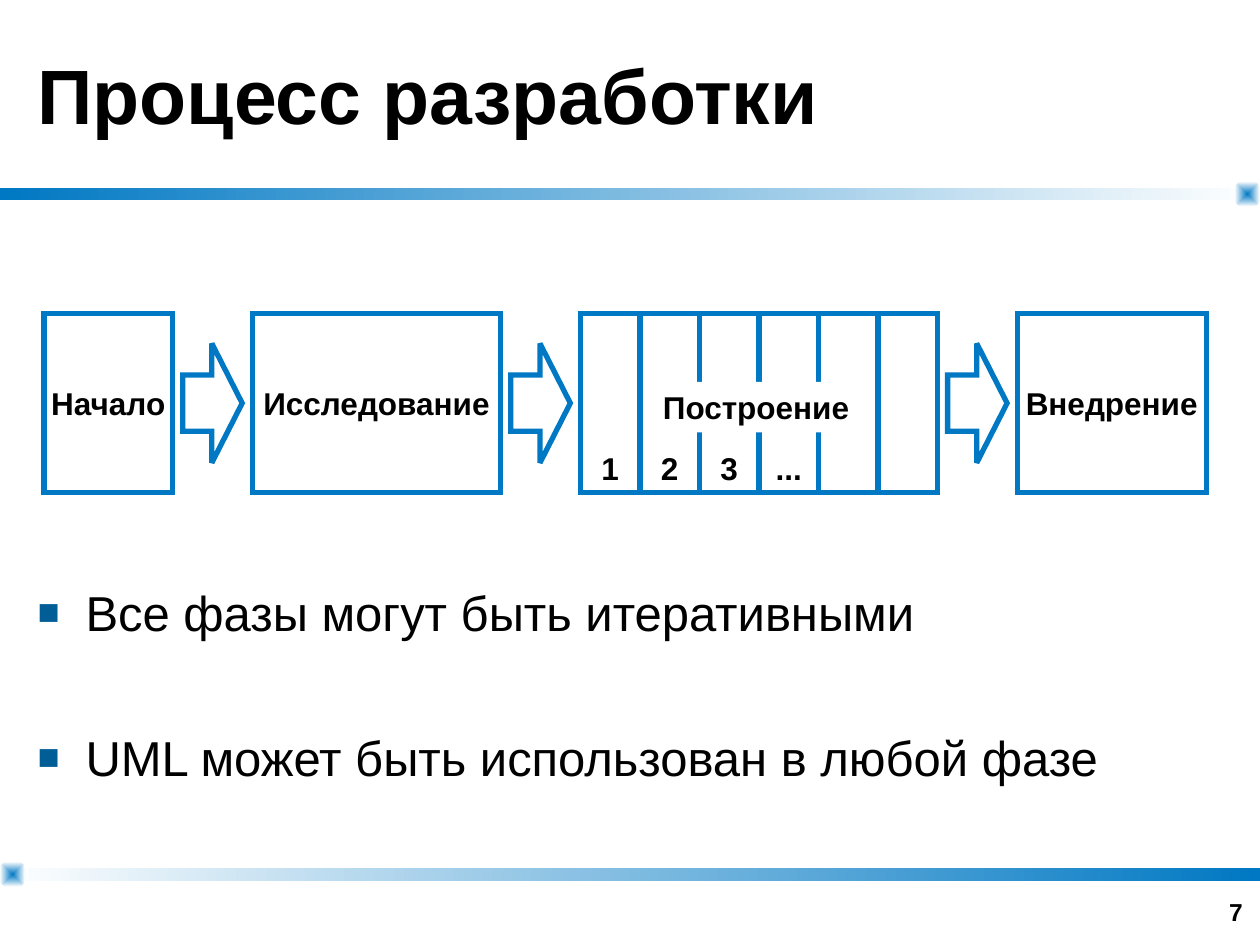
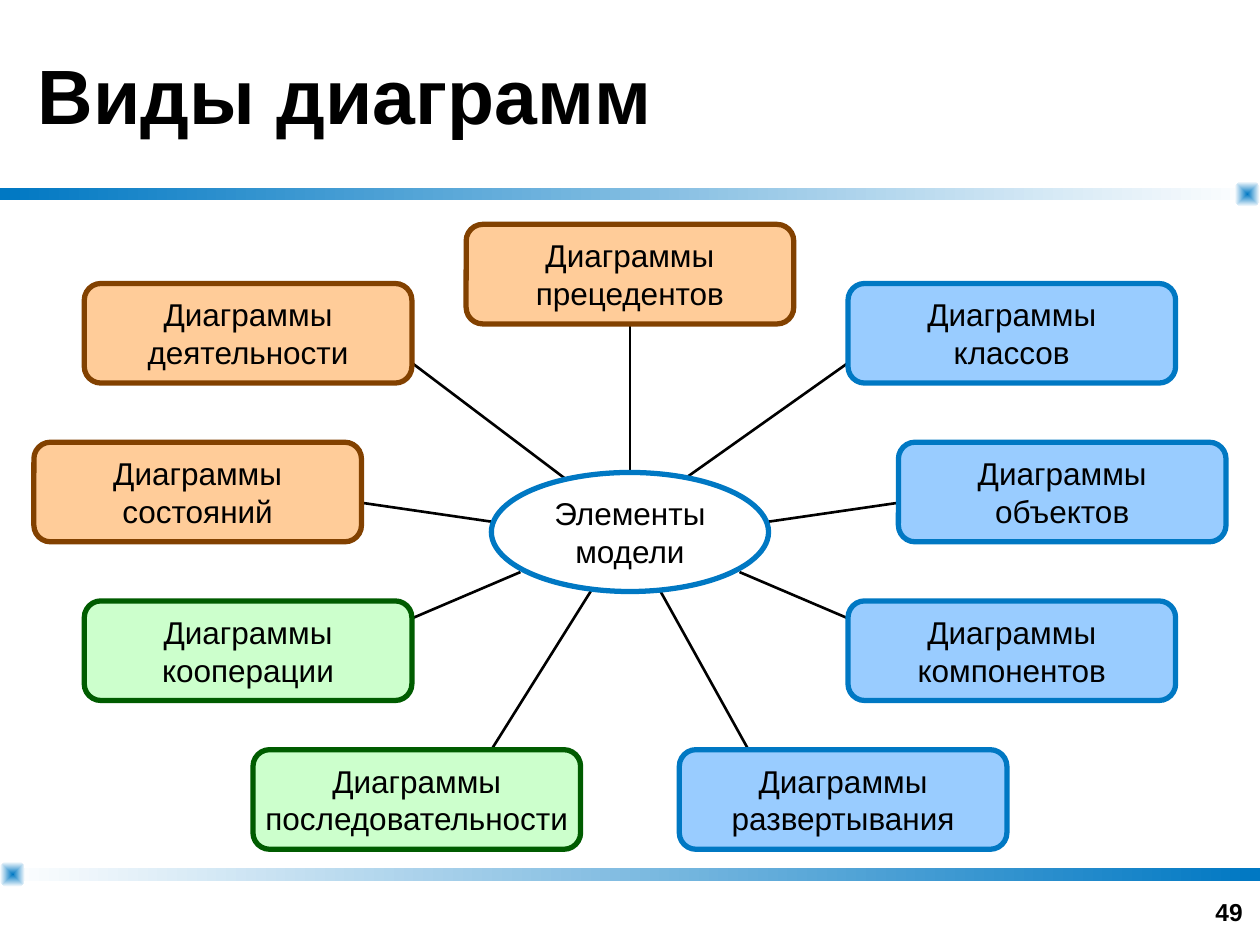
from dataclasses import dataclass
from typing import Any, Optional

import lxml.etree
import pptx
import pptx.dml.color
import pptx.enum.shapes
import pptx.enum.text
import pptx.oxml.ns
import pptx.util

Pt = pptx.util.Pt
Shapes = pptx.enum.shapes.MSO_SHAPE
Anchor = pptx.enum.text.MSO_ANCHOR
Align = pptx.enum.text.PP_ALIGN
qn = pptx.oxml.ns.qn


@dataclass(frozen=True)
class Theme:
    font: str = "Arial"
    ink: str = "000000"
    paper: str = "FFFFFF"
    accent: str = "0078C3"
    bullet: str = "005D96"
    title_size: float = 44
    body_size: float = 28
    label_size: float = 18
    number_size: float = 14
    outline: float = 3
    spoke: float = 1.5


THEME = Theme()
SLIDE_WIDTH, SLIDE_HEIGHT = 720, 540


@dataclass(frozen=True)
class Area:
    left: float
    top: float
    width: float
    height: float

    def lengths(self) -> list:
        return [Pt(value) for value in (self.left, self.top, self.width, self.height)]


@dataclass(frozen=True)
class TextStyle:
    size: float = THEME.label_size
    bold: bool = False
    align: Any = Align.CENTER
    anchor: Any = Anchor.MIDDLE
    wrap: bool = False


@dataclass(frozen=True)
class Family:
    fill: str
    line: str


@dataclass(frozen=True)
class DiagramKind:
    name: str
    family: Family
    offset: float
    top: float
    spoke_start: tuple[float, float]
    spoke_end: tuple[float, float]


@dataclass(frozen=True)
class Phase:
    name: str
    width: float


TITLE = TextStyle(THEME.title_size, True, Align.LEFT, wrap=True)
NUMBER = TextStyle(THEME.number_size, True, Align.RIGHT, Anchor.BOTTOM, True)
BODY = TextStyle(THEME.body_size, False, Align.LEFT, Anchor.TOP, True)
PHASE_LABEL = TextStyle(bold=True)
ITERATION_LABEL = TextStyle(bold=True, anchor=Anchor.BOTTOM)
KIND_LABEL = TextStyle()

BEHAVIOUR = Family("FFCC99", "824100")
STRUCTURE = Family("99CCFF", THEME.accent)
INTERACTION = Family("CCFFCC", "005C00")

BUILDING = "Построение"
PHASES = [
    Phase("Начало", 73.4),
    Phase("Исследование", 141.9),
    Phase(BUILDING, 204),
    Phase("Внедрение", 108),
]
ITERATIONS = ["1", "2", "3", "...", "", ""]
BULLETS = ["Все фазы могут быть итеративными", "UML может быть использован в любой фазе"]

KINDS = [
    DiagramKind("прецедентов", BEHAVIOUR, 0, 128.2, (360, 270), (360, 185)),
    DiagramKind("деятельности", BEHAVIOUR, -218.2, 162, (326, 275.8), (235.4, 207.4)),
    DiagramKind("состояний", BEHAVIOUR, -247, 252.7, (280.8, 298.1), (206.6, 287.3)),
    DiagramKind("кооперации", INTERACTION, -218.2, 343.4, (297.4, 326.9), (218.2, 360.7)),
    DiagramKind("последовательности", INTERACTION, -121.8, 428.4, (337.7, 337.7), (280.8, 428.4)),
    DiagramKind("развертывания", STRUCTURE, 121.8, 428.4, (377.3, 337.7), (427.7, 428.4)),
    DiagramKind("компонентов", STRUCTURE, 218.2, 343.4, (422.6, 326.9), (501.8, 360.7)),
    DiagramKind("объектов", STRUCTURE, 247, 252.7, (439.2, 298.1), (513.4, 287.3)),
    DiagramKind("классов", STRUCTURE, 218.2, 162, (388.1, 275.8), (484.6, 207.4)),
]


def color(value: str) -> pptx.dml.color.RGBColor:
    return pptx.dml.color.RGBColor.from_string(value)


def apply_format(target: Any, values: dict[str, Any]) -> None:
    for name, value in values.items():
        setattr(target, name, value)


def add_node(parent: Any, tag: str, **attributes: str) -> Any:
    return lxml.etree.SubElement(parent, qn(tag), attributes)


def write_text(box: Any, lines: list[str], style: TextStyle) -> None:
    frame = box.text_frame
    apply_format(frame, {"word_wrap": style.wrap, "vertical_anchor": style.anchor})
    for index, line in enumerate(lines):
        para = frame.paragraphs[0] if index == 0 else frame.add_paragraph()
        para.alignment = style.align
        span = para.add_run()
        span.text = line
        apply_format(span.font, {"name": THEME.font, "size": Pt(style.size), "bold": style.bold})
        span.font.color.rgb = color(THEME.ink)


def add_text(page: Any, area: Area, lines: list[str], style: TextStyle) -> Any:
    box = page.shapes.add_textbox(*area.lengths())
    write_text(box, lines, style)
    return box


def add_box(
    page: Any,
    kind: Any,
    area: Area,
    text: str = "",
    style: TextStyle = KIND_LABEL,
    fill: Optional[str] = None,
    line: Optional[str] = THEME.accent,
) -> Any:
    box = page.shapes.add_shape(kind, *area.lengths())
    box.shadow.inherit = False
    if fill:
        box.fill.solid()
        box.fill.fore_color.rgb = color(fill)
    else:
        box.fill.background()
    if line:
        box.line.color.rgb = color(line)
        box.line.width = Pt(THEME.outline)
        add_node(box.line._get_or_add_ln(), "a:miter", lim="800000")
    else:
        box.line.fill.background()
    if text:
        write_text(box, text.split("\n"), style)
    return box


def paint_gradient(box: Any, start: str, end: str, centred: bool = False) -> None:
    box.fill.gradient()
    box.fill.gradient_angle = 0
    for stop, value in zip(box.fill.gradient_stops, (start, end)):
        stop.color.rgb = color(value)
    if centred:
        gradient = box.element.spPr.find(qn("a:gradFill"))
        gradient.remove(gradient.find(qn("a:lin")))
        route = add_node(gradient, "a:path", path="rect")
        add_node(route, "a:fillToRect", l="50000", t="50000", r="50000", b="50000")


def add_band(page: Any, top: float, start: str, end: str, corner_left: float) -> None:
    band = add_box(page, Shapes.RECTANGLE, Area(0, top, SLIDE_WIDTH, 7.2), line=None)
    paint_gradient(band, start, end)
    corner = add_box(page, Shapes.ROUNDED_RECTANGLE, Area(corner_left, top - 3.6, 14.4, 14.4), line=None)
    corner.adjustments[0] = 0.32
    paint_gradient(corner, THEME.accent, THEME.paper, centred=True)


def add_page(deck: Any, title: str, number: int) -> Any:
    page = deck.slides.add_slide(deck.slide_layouts[6])
    add_band(page, 107.3, THEME.accent, THEME.paper, SLIDE_WIDTH - 14.4)
    add_band(page, 496, THEME.paper, THEME.accent, 0)
    add_text(page, Area(549.4, 496.8, 167.8, 36), [str(number)], NUMBER)
    add_text(page, Area(14.4, 0, 691.2, 107.3), [title], TITLE)
    return page


def add_bullets(page: Any, area: Area, lines: list[str]) -> None:
    box = add_text(page, area, lines, BODY)
    box.text_frame.margin_top = Pt(6)
    indent = Pt(27.4)
    for index, para in enumerate(box.text_frame.paragraphs):
        para.space_before = Pt(49 if index else 0)
        properties = para._p.get_or_add_pPr()
        properties.set("marL", str(indent))
        properties.set("indent", str(-indent))
        add_node(add_node(properties, "a:buClr"), "a:srgbClr", val=THEME.bullet)
        add_node(properties, "a:buSzPct", val="75000")
        add_node(properties, "a:buFont", typeface=THEME.font)
        add_node(properties, "a:buChar", char="■")


def add_spoke(page: Any, start: tuple[float, float], end: tuple[float, float]) -> None:
    spoke = page.shapes.add_connector(
        pptx.enum.shapes.MSO_CONNECTOR.STRAIGHT, *[Pt(value) for value in start + end]
    )
    spoke.line.color.rgb = color(THEME.ink)
    spoke.line.width = Pt(THEME.spoke)
    add_node(spoke.element.spPr, "a:effectLst")


def add_iterations(page: Any, area: Area) -> None:
    width = area.width / len(ITERATIONS)
    for index, label in enumerate(ITERATIONS):
        cell = Area(area.left + index * width, area.top, width, area.height)
        add_box(page, Shapes.RECTANGLE, cell, label, ITERATION_LABEL)
    plate = Area(371.5, 218.3, 121, 28.8)
    add_box(page, Shapes.RECTANGLE, plate, BUILDING, PHASE_LABEL, THEME.paper, None)


def build_process(deck: Any) -> None:
    page = add_page(deck, "Процесс разработки", 7)
    left, top, height, gap = 25.2, 179.3, 102.2, 45.6
    arrow_width, arrow_height = 34, 68.2
    for index, phase in enumerate(PHASES):
        if index:
            arrow = add_box(
                page,
                Shapes.RIGHT_ARROW,
                Area(
                    left - (gap + arrow_width) / 2,
                    top + (height - arrow_height) / 2,
                    arrow_width,
                    arrow_height,
                ),
            )
            arrow.adjustments[0], arrow.adjustments[1] = 0.47, 0.51
        area = Area(left, top, phase.width, height)
        if phase.name == BUILDING:
            add_iterations(page, area)
        else:
            add_box(page, Shapes.RECTANGLE, area, phase.name, PHASE_LABEL)
        left += phase.width + gap
    add_bullets(page, Area(14.4, 326.9, 691.2, 154.8), BULLETS)


def build_kinds(deck: Any) -> None:
    page = add_page(deck, "Виды диаграмм", 49)
    width, height = 187.2, 56.9
    for kind in KINDS:
        add_spoke(page, kind.spoke_start, kind.spoke_end)
    for kind in KINDS:
        area = Area((SLIDE_WIDTH - width) / 2 + kind.offset, kind.top, width, height)
        add_box(
            page,
            Shapes.ROUNDED_RECTANGLE,
            area,
            f"Диаграммы\n{kind.name}",
            KIND_LABEL,
            kind.family.fill,
            kind.family.line,
        )
    hub = Area(280.8, 270, 158.4, 68)
    add_box(page, Shapes.OVAL, hub, "Элементы\nмодели", KIND_LABEL, THEME.paper)


def main() -> None:
    deck = pptx.Presentation()
    apply_format(deck, {"slide_width": Pt(SLIDE_WIDTH), "slide_height": Pt(SLIDE_HEIGHT)})
    build_process(deck)
    build_kinds(deck)
    deck.save("out.pptx")


if __name__ == "__main__":
    main()
